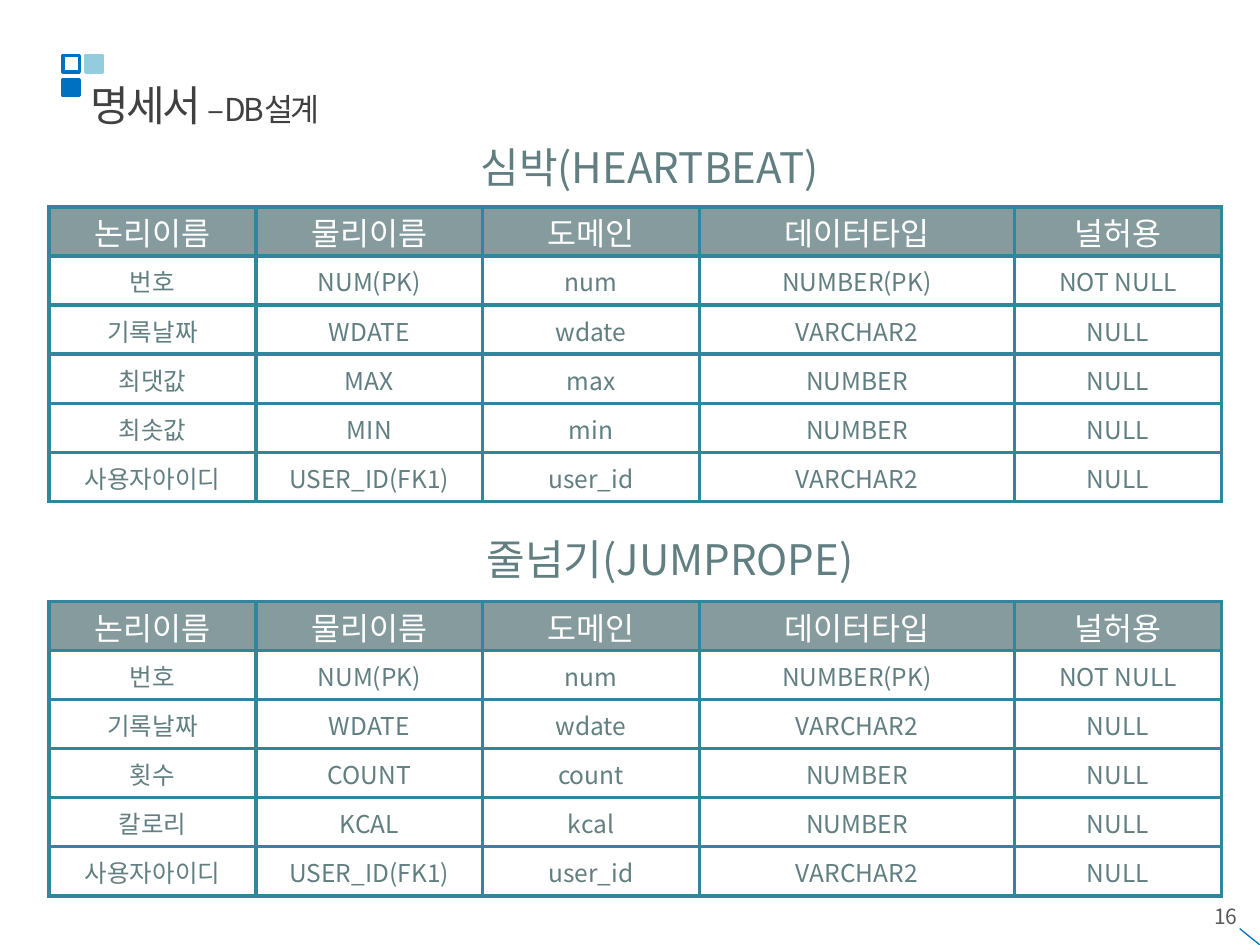
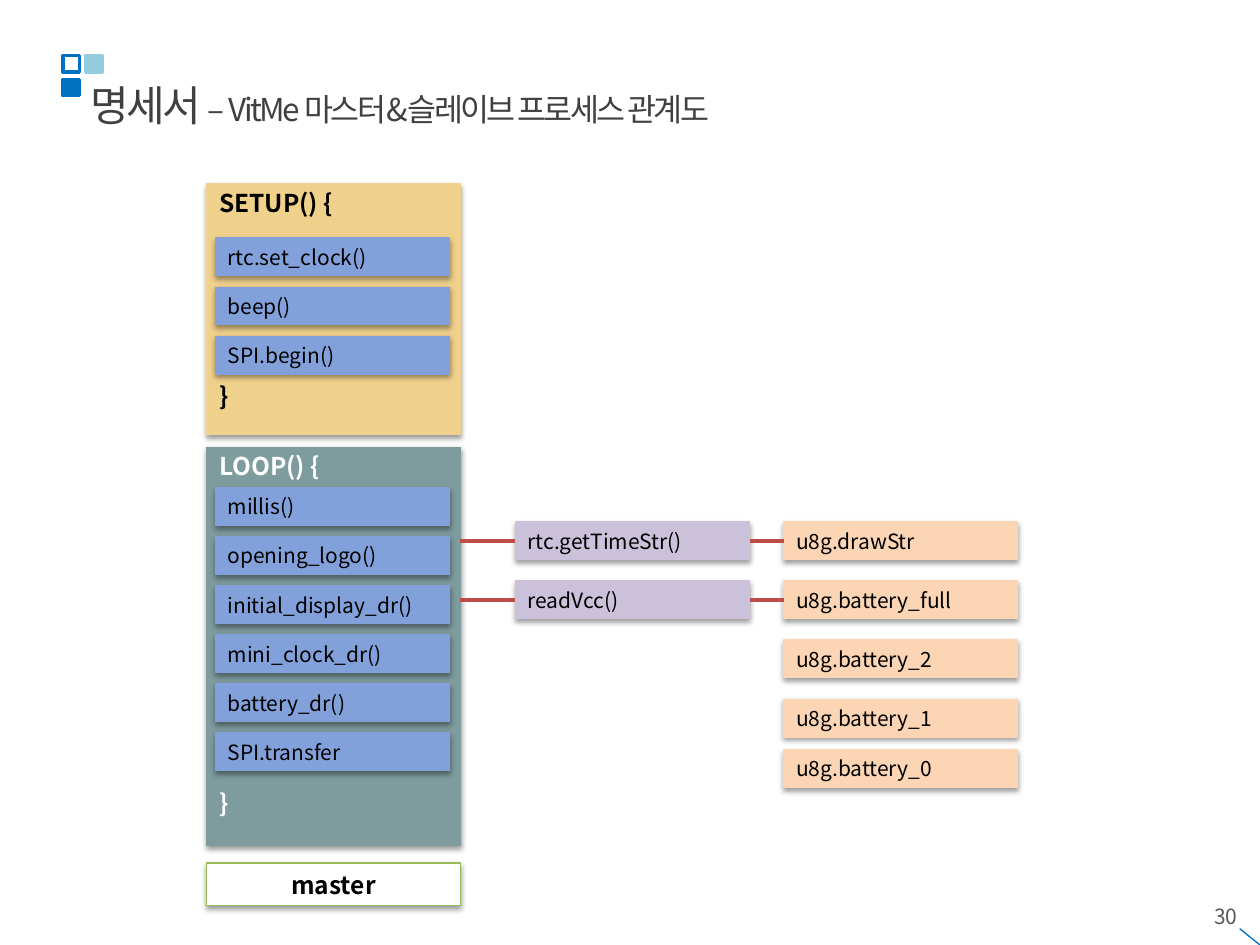
"""Builds two specification slides: database tables and a process diagram."""
from lxml.etree import SubElement
from pptx import Presentation
from pptx.dml.color import RGBColor
from pptx.enum.shapes import MSO_CONNECTOR as CONNECTOR, MSO_SHAPE as SHAPE
from pptx.enum.text import MSO_ANCHOR as ANCHOR, PP_ALIGN as ALIGN
from pptx.oxml import parse_xml
from pptx.oxml.ns import nsdecls, qn
from pptx.util import Cm, Pt

FONT = "Noto Sans CJK KR"
COLORS = {
    "blue": "0070C0", "sky": "93CDDD", "title": "404040", "number": "595959",
    "teal": "617E81", "border": "31859C", "white": "FFFFFF", "black": "000000",
    "setup": "F0D18C", "loop": "7E9B9E", "step": "82A1DA", "call": "CCC1DA",
    "draw": "FCD5B5", "link": "BF4C48", "green": "98B955",
}

TITLE = "명세서 "
HEADER = ("논리이름", "물리이름", "도메인", "데이터타입", "널허용")
NUMBER_ROW = ("번호", "NUM(PK)", "num", "NUMBER(PK)", "NOT NULL")
DATE_ROW = ("기록날짜", "WDATE", "wdate", "VARCHAR2", "NULL")
USER_ROW = ("사용자아이디", "USER_ID(FK1)", "user_id", "VARCHAR2", "NULL")
COLUMN_WIDTHS = (4.17, 4.57, 4.37, 6.35, 4.17)
ROW_HEIGHT = 0.99
TABLES = [
    {"heading": "심박(HEARTBEAT)", "box": (9.12, 2.72, 7.95, 1.27), "top": 4.17,
     "rows": [HEADER, NUMBER_ROW, DATE_ROW,
              ("최댓값", "MAX", "max", "NUMBER", "NULL"),
              ("최솟값", "MIN", "min", "NUMBER", "NULL"), USER_ROW]},
    {"heading": "줄넘기(JUMPROPE)", "box": (8.74, 10.64, 9.53, 1.27), "top": 12.12,
     "rows": [HEADER, NUMBER_ROW, DATE_ROW,
              ("횟수", "COUNT", "count", "NUMBER", "NULL"),
              ("칼로리", "KCAL", "kcal", "NUMBER", "NULL"), USER_ROW]},
]

PANEL_LEFT, PANEL_WIDTH = 4.17, 5.11
STEP_LEFT, STEP_PITCH = 4.34, 0.99
BOX_WIDTH, BOX_HEIGHT = 4.72, 0.76
CALL_LEFT, DRAW_LEFT = 10.39, 15.8
PANELS = [
    {"opening": "SETUP() {", "top": 3.71, "height": 5.05, "fill": "setup",
     "color": "black", "gap": 93.5, "first_step": 4.8,
     "steps": ["rtc.set_clock()", "beep()", "SPI.begin()"]},
    {"opening": "LOOP() {", "top": 9.02, "height": 8.03, "fill": "loop",
     "color": "white", "gap": 175.5, "first_step": 9.83,
     "steps": ["millis()", "opening_logo()", "initial_display_dr()",
               "mini_clock_dr()", "battery_dr()", "SPI.transfer"]},
]
CALLS = ["rtc.getTimeStr()", "readVcc()"]
DRAWS = ["u8g.drawStr", "u8g.battery_full", "u8g.battery_2",
         "u8g.battery_1", "u8g.battery_0"]
CALL_TOPS = (10.52, 11.71, 12.9, 14.1, 15.11)


def rgb(name):
    return RGBColor.from_string(COLORS[name])


def write(paragraph, text, size=12, color="black", bold=False, align=ALIGN.LEFT,
          before=0, spacing=None):
    paragraph.alignment = align
    if before:
        paragraph.space_before = Pt(before)
    run = paragraph.add_run()
    run.text = text
    run.font.name = FONT
    run.font.size = Pt(size)
    run.font.bold = bold
    run.font.color.rgb = rgb(color)
    properties = run._r.get_or_add_rPr()
    SubElement(properties, qn("a:ea"), typeface=FONT)
    if spacing:
        properties.set("spc", str(int(spacing * 100)))


def add_text_box(slide, box):
    frame = slide.shapes.add_textbox(*map(Cm, box)).text_frame
    frame.word_wrap = True
    return frame.paragraphs[0]


def add_rectangle(shapes, box, fill, line, width=0.75, shadow=False):
    shape = shapes.add_shape(SHAPE.RECTANGLE, *map(Cm, box))
    shape.shadow.inherit = False
    if fill:
        shape.fill.solid()
        shape.fill.fore_color.rgb = rgb(fill)
    else:
        shape.fill.background()
    shape.line.color.rgb = rgb(line)
    shape.line.width = Pt(width)
    if shadow:
        effects = shape._element.spPr.find(qn("a:effectLst"))
        effects.append(parse_xml(
            f'<a:outerShdw {nsdecls("a")} blurRad="40000" dist="20000" dir="5400000" '
            'rotWithShape="0"><a:srgbClr val="000000"><a:alpha val="38000"/>'
            '</a:srgbClr></a:outerShdw>'))
    return shape


def add_line(slide, start, end, color, width):
    line = slide.shapes.add_connector(CONNECTOR.STRAIGHT, *map(Cm, start + end))
    line.line.color.rgb = rgb(color)
    line.line.width = Pt(width)
    SubElement(line._element.spPr, qn("a:effectLst"))
    return line


def add_base(presentation, subtitle, number):
    slide = presentation.slides.add_slide(presentation.slide_layouts[6])
    add_line(slide, (25.4, 19.05), (24.99, 18.72), "blue", 0.75)
    for left, top, fill, line in ((1.27, 1.6, "blue", "blue"),
                                  (1.27, 1.12, None, "blue"),
                                  (1.73, 1.12, "sky", "sky")):
        add_rectangle(slide.shapes, (left, top, 0.33, 0.33), fill, line, width=2)
    title = add_text_box(slide, (1.57, 1.47, 21.82, 1.27))
    write(title, TITLE, size=24, color="title", spacing=-1.5)
    write(title, subtitle, size=18, color="title", spacing=-1.5)
    write(add_text_box(slide, (19.28, 18.08, 5.92, 1.02)), number,
          color="number", align=ALIGN.RIGHT)
    return slide


def format_cell(cell, text, is_header):
    cell.vertical_anchor = ANCHOR.MIDDLE
    cell.margin_left = cell.margin_right = cell.margin_top = Cm(0.03)
    cell.margin_bottom = 0
    write(cell.text_frame.paragraphs[0], text, size=18 if is_header else 14,
          color="white" if is_header else "teal", align=ALIGN.CENTER)
    properties = cell._tc.get_or_add_tcPr()
    if is_header:
        cell.fill.solid()
        cell.fill.fore_color.rgb = rgb("teal")
        SubElement(properties.find(".//" + qn("a:srgbClr")), qn("a:alpha"), val="77000")
    else:
        cell.fill.background()
    for index, side in enumerate(("lnL", "lnR", "lnT", "lnB")):
        properties.insert(index, parse_xml(
            f'<a:{side} {nsdecls("a")} w="{Pt(2.25)}"><a:solidFill>'
            f'<a:srgbClr val="{COLORS["border"]}"/></a:solidFill></a:{side}>'))


def add_data_table(slide, heading, box, top, rows):
    write(add_text_box(slide, box), heading, size=24, color="teal", align=ALIGN.CENTER)
    table = slide.shapes.add_table(
        len(rows), len(HEADER), Cm(0.99), Cm(top), Cm(sum(COLUMN_WIDTHS)),
        Cm(ROW_HEIGHT * len(rows))).table
    table.first_row = table.horz_banding = False
    for column, width in zip(table.columns, COLUMN_WIDTHS):
        column.width = Cm(width)
    for row_index, row in enumerate(rows):
        table.rows[row_index].height = Cm(ROW_HEIGHT)
        for column_index, text in enumerate(row):
            format_cell(table.cell(row_index, column_index), text, row_index == 0)


def add_box(shapes, text, left, top, fill):
    box = add_rectangle(shapes, (left, top, BOX_WIDTH, BOX_HEIGHT), fill, fill,
                        shadow=True)
    box.text_frame.word_wrap = True
    box.text_frame.vertical_anchor = ANCHOR.MIDDLE
    write(box.text_frame.paragraphs[0], text)
    return box


def add_panel(slide, opening, top, height, fill, color, gap, first_step, steps):
    shapes = slide.shapes.add_group_shape().shapes
    panel = add_rectangle(shapes, (PANEL_LEFT, top, PANEL_WIDTH, height), fill, fill,
                          shadow=True)
    frame = panel.text_frame
    frame.word_wrap = True
    frame.vertical_anchor = ANCHOR.TOP
    frame.margin_top = Cm(0.08)
    write(frame.paragraphs[0], opening, size=14, color=color, bold=True)
    write(frame.add_paragraph(), "}", size=14, color=color, bold=True, before=gap)
    for index, step in enumerate(steps):
        add_box(shapes, step, STEP_LEFT, first_step + index * STEP_PITCH, "step")


def add_calls(slide):
    calls = [add_box(slide.shapes, text, CALL_LEFT, top, "call")
             for text, top in zip(CALLS, CALL_TOPS)]
    draws = [add_box(slide.shapes, text, DRAW_LEFT, top, "draw")
             for text, top in zip(DRAWS, CALL_TOPS)]
    panel_right = PANEL_LEFT + PANEL_WIDTH
    for call, draw, top in zip(calls, draws, CALL_TOPS):
        middle = top + BOX_HEIGHT / 2
        incoming = add_line(slide, (panel_right, middle), (CALL_LEFT, middle),
                            "link", 2.25)
        incoming.end_connect(call, 1)
        outgoing = add_line(slide, (CALL_LEFT + BOX_WIDTH, middle),
                            (DRAW_LEFT, middle), "link", 2.25)
        outgoing.begin_connect(call, 3)
        outgoing.end_connect(draw, 1)


def main():
    presentation = Presentation()
    presentation.slide_width, presentation.slide_height = Cm(25.4), Cm(19.05)

    database = add_base(presentation, "–DB설계", "16")
    for table in TABLES:
        add_data_table(database, **table)

    process = add_base(presentation, "– VitMe 마스터&슬레이브 프로세스 관계도", "30")
    for panel in PANELS:
        add_panel(process, **panel)
    add_calls(process)
    master = add_rectangle(process.shapes, (PANEL_LEFT, 17.4, PANEL_WIDTH, 0.86),
                           "white", "green", shadow=True)
    master.text_frame.vertical_anchor = ANCHOR.MIDDLE
    write(master.text_frame.paragraphs[0], "master", size=14, bold=True,
          align=ALIGN.CENTER)
    presentation.save("out.pptx")


if __name__ == "__main__":
    main()
